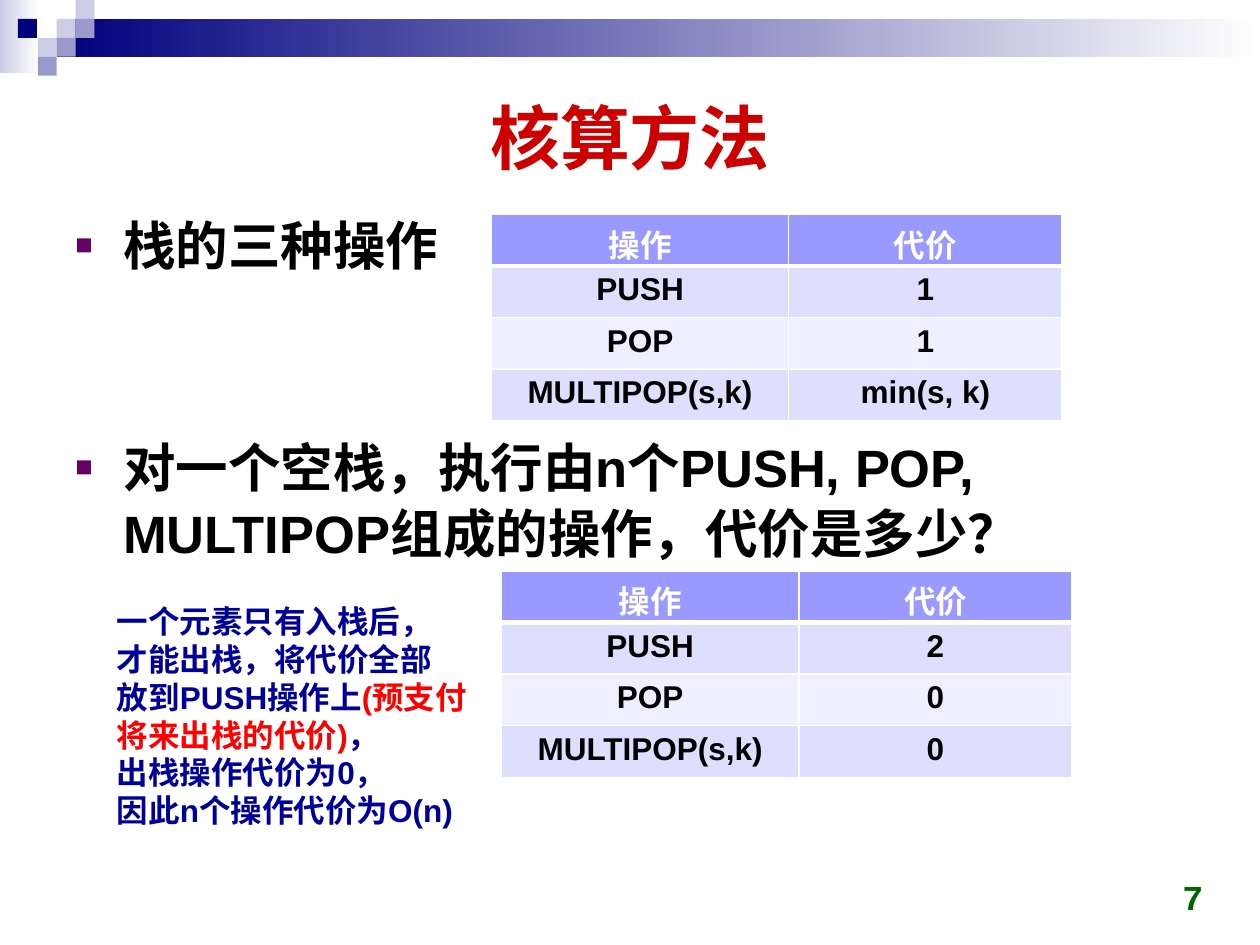
from lxml import etree
from pptx import Presentation
from pptx.dml.color import RGBColor
from pptx.enum.shapes import MSO_SHAPE
from pptx.enum.text import MSO_ANCHOR, PP_ALIGN
from pptx.oxml.ns import qn
from pptx.util import Inches, Pt

RECTANGLE = MSO_SHAPE.RECTANGLE
LEFT, CENTER, RIGHT = PP_ALIGN.LEFT, PP_ALIGN.CENTER, PP_ALIGN.RIGHT
TOP, MIDDLE, BOTTOM = MSO_ANCHOR.TOP, MSO_ANCHOR.MIDDLE, MSO_ANCHOR.BOTTOM
TITLE_ONLY = 5

COLORS = {
    "navy": "00007D", "pale": "CCCCE6", "lavender": "9999CC", "white": "FFFFFF",
    "title": "CC0000", "black": "000000", "bullet": "660066", "number": "006600",
    "note": "000099", "accent": "FF0000",
    "header": "9999FF", "band_dark": "DEDEFF", "band_light": "EFEFFF",
}


def rgb(name):
    return RGBColor.from_string(COLORS[name])


def write_paragraph(paragraph, runs, size, color="black", font="Arial", align=LEFT):
    paragraph.alignment = align
    for text, run_color in [(runs, color)] if isinstance(runs, str) else runs:
        run = paragraph.add_run()
        run.text = text
        run.font.name = font
        run.font.size = Pt(size)
        run.font.bold = True
        run.font.color.rgb = rgb(run_color)


def add_text(slide, box, paragraphs, anchor=TOP, **text_format):
    frame = slide.shapes.add_textbox(*map(Inches, box)).text_frame
    frame.word_wrap = True
    frame.vertical_anchor = anchor
    for index, runs in enumerate(paragraphs):
        paragraph = frame.add_paragraph() if index else frame.paragraphs[0]
        write_paragraph(paragraph, runs, **text_format)
    return frame


def add_rectangle(slide, box, color, fade=False):
    shape = slide.shapes.add_shape(RECTANGLE, *map(Inches, box))
    shape.shadow.inherit = False
    shape.line.fill.background()
    if fade:
        shape.fill.gradient()
        shape.fill.gradient_angle = 0
        for stop, name in zip(shape.fill.gradient_stops, (color, "white")):
            stop.color.rgb = rgb(name)
    else:
        shape.fill.solid()
        shape.fill.fore_color.rgb = rgb(color)


def add_banner(slide, left, top, width):
    unit = 0.15
    add_rectangle(slide, (left, top, 0.31, 0.58), "pale", fade=True)
    add_rectangle(slide, (left + 3 * unit, top + unit, width - 3 * unit, 2 * unit), "navy", fade=True)
    squares = [(3, 1, "pale"), (4, 0, "pale"), (4, 1, "lavender"), (2, 2, "pale"),
               (0.95, 1, "navy"), (3, 2, "lavender"), (2, 3, "lavender")]
    for column, row, color in squares:
        add_rectangle(slide, (left + column * unit, top + row * unit, unit, unit), color)


def add_title(slide, box, text):
    title = slide.shapes.title
    title.left, title.top, title.width, title.height = map(Inches, box)
    title.text_frame.vertical_anchor = MIDDLE
    write_paragraph(title.text_frame.paragraphs[0], text, 40, "title", align=CENTER)


def add_bullets(slide, box, texts, gaps):
    frame = add_text(slide, box, texts, size=30)
    for paragraph, gap in zip(frame.paragraphs, gaps):
        paragraph.line_spacing = 1.05
        paragraph.space_before = Pt(gap)
        properties = paragraph._p.get_or_add_pPr()
        properties.set("marL", str(Inches(0.38)))
        properties.set("indent", str(-Inches(0.38)))
        bullet_color = etree.SubElement(properties, qn("a:buClr"))
        etree.SubElement(bullet_color, qn("a:srgbClr"), val=COLORS["bullet"])
        etree.SubElement(properties, qn("a:buSzPct"), val="55000")
        etree.SubElement(properties, qn("a:buFont"), typeface="Arial")
        etree.SubElement(properties, qn("a:buChar"), char="■")


def set_borders(cell, top, bottom):
    properties = cell._tc.get_or_add_tcPr()
    sides = (("a:lnL", 1), ("a:lnR", 1), ("a:lnT", top), ("a:lnB", bottom))
    for index, (tag, width) in enumerate(sides):
        line = etree.Element(qn(tag), w=str(Pt(width)))
        fill = etree.SubElement(line, qn("a:solidFill"))
        etree.SubElement(fill, qn("a:srgbClr"), val=COLORS["white"])
        properties.insert(index, line)


def add_cost_table(slide, left, top, costs):
    rows = list(zip(("操作", "PUSH", "POP", "MULTIPOP(s,k)"), ("代价", *costs)))
    widths, row_height = (2.36, 2.17), 0.41
    box = (left, top, sum(widths), row_height * len(rows))
    table = slide.shapes.add_table(len(rows), len(widths), *map(Inches, box)).table
    for column, width in zip(table.columns, widths):
        column.width = Inches(width)
    for row_index, texts in enumerate(rows):
        table.rows[row_index].height = Inches(row_height)
        is_header = row_index == 0
        band = "band_dark" if row_index % 2 else "band_light"
        for column_index, text in enumerate(texts):
            cell = table.cell(row_index, column_index)
            cell.fill.solid()
            cell.fill.fore_color.rgb = rgb("header" if is_header else band)
            set_borders(cell, 3 if row_index == 1 else 1, 3 if is_header else 1)
            write_paragraph(cell.text_frame.paragraphs[0], text, 18,
                            "white" if is_header else "black", align=CENTER)


def build_slide(presentation):
    slide = presentation.slides.add_slide(presentation.slide_layouts[TITLE_ONLY])
    add_banner(slide, 0, 0, 10)
    add_title(slide, (0.5, 0.5, 9, 1.16), "核算方法")
    add_bullets(slide, (0.5, 1.62, 9, 5.2),
                ["栈的三种操作", "对一个空栈，执行由n个PUSH, POP, MULTIPOP组成的操作，代价是多少？"],
                gaps=(4.5, 89))
    add_text(slide, (7.32, 6.83, 2.33, 0.5), ["7"], anchor=BOTTOM,
             size=20, color="number", font="Courier New", align=RIGHT)
    add_cost_table(slide, 3.9, 1.7, ("1", "1", "min(s, k)"))
    add_text(slide, (0.83, 4.73, 3.02, 1.92), [
        "一个元素只有入栈后，",
        "才能出栈，将代价全部",
        [("放到PUSH操作上", "note"), ("(预支付", "accent")],
        [("将来出栈的代价)", "accent"), ("，", "note")],
        "出栈操作代价为0，",
        "因此n个操作代价为O(n)",
    ], size=18, color="note")
    add_cost_table(slide, 3.98, 4.53, ("2", "0", "0"))


presentation = Presentation()
presentation.slide_width = Inches(10)
presentation.slide_height = Inches(7.5)
build_slide(presentation)
presentation.save("out.pptx")
